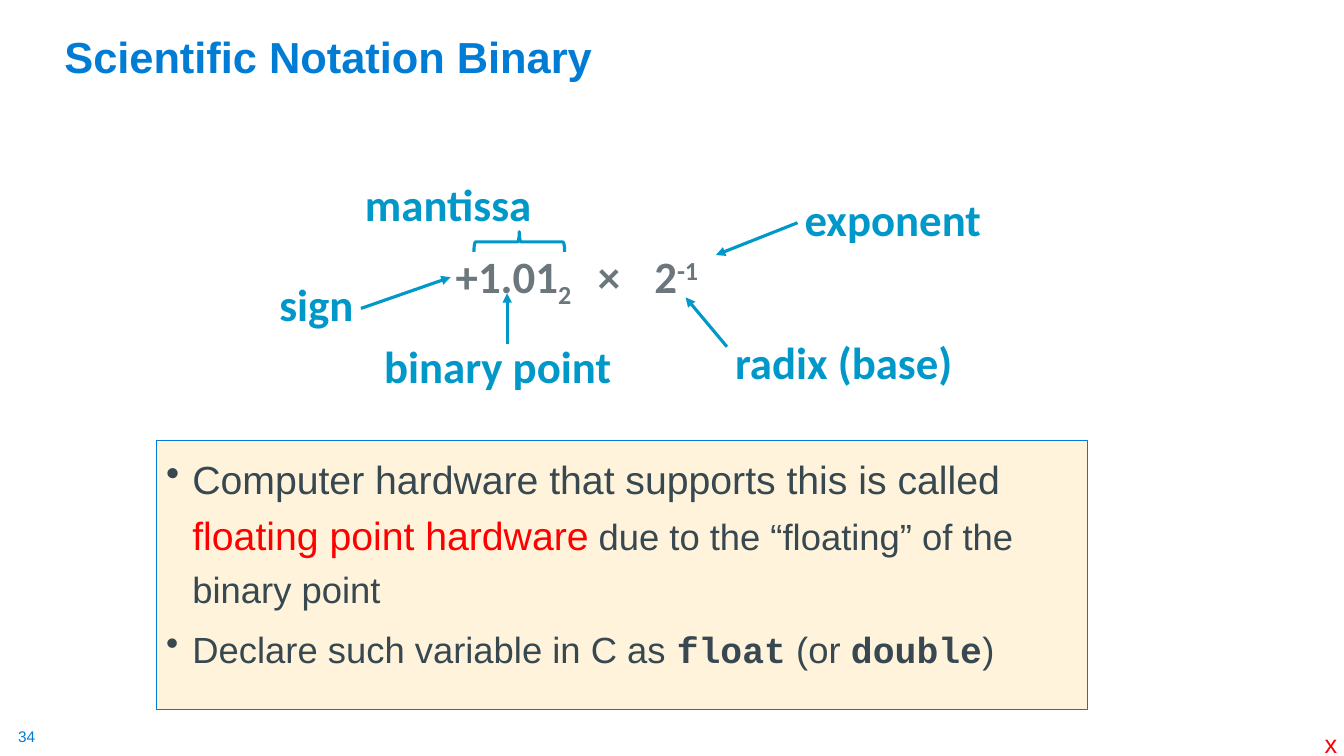
from lxml import etree
from pptx import Presentation
from pptx import util as u
from pptx.dml.color import RGBColor
from pptx.enum import shapes, text
from pptx.oxml import ns

BLUE = RGBColor(0x00, 0x7C, 0xD5)
CYAN = RGBColor(0x00, 0x98, 0xC9)
GRAY = RGBColor(0x6B, 0x76, 0x7D)
SLATE = RGBColor(0x38, 0x48, 0x51)
RED = RGBColor(0xFF, 0x00, 0x00)
CREAM = RGBColor(0xFF, 0xF4, 0xDB)


def style_font(font, size, color, name="Arial", bold=False):
    """Set the size, colour, face and weight of a font."""
    font.size, font.name, font.bold = u.Pt(size), name, bold
    font.color.rgb = color


def add_text(slide, box, words, size, color, name="Arial", bold=False, margins=(0.1, 0.05)):
    """Add a one-line text box and return it."""
    shape = slide.shapes.add_textbox(*map(u.Inches, box))
    frame = shape.text_frame
    frame.word_wrap = False
    frame.margin_left = frame.margin_right = u.Inches(margins[0])
    frame.margin_top = frame.margin_bottom = u.Inches(margins[1])
    paragraph = frame.paragraphs[0]
    paragraph.text = words
    style_font(paragraph.font, size, color, name, bold)
    return shape


def add_label(slide, box, words, color=CYAN):
    """Add a bold diagram label and return it."""
    shape = add_text(slide, box, words, 32, color, "Calibri", True, (0.07, 0.03))
    shape.text_frame.paragraphs[0].line_spacing = 0.85
    return shape


def add_arrow(slide, start, end):
    """Add an arrow pointing at its end and return it."""
    arrow = slide.shapes.add_connector(
        shapes.MSO_CONNECTOR.STRAIGHT, *map(u.Inches, (*start, *end)))
    arrow.line.color.rgb = CYAN
    arrow.line.width = u.Pt(2.25)
    etree.SubElement(arrow.line._get_or_add_ln(), ns.qn("a:tailEnd"), type="triangle")
    etree.SubElement(arrow._element.spPr, ns.qn("a:effectLst"))
    return arrow


def add_formula(slide, box):
    """Add the binary number with its subscript, radix and exponent."""
    shape = add_label(slide, box, "", GRAY)
    shape.text_frame.word_wrap = True
    paragraph = shape.text_frame.paragraphs[0]
    tabs = etree.SubElement(paragraph._p.get_or_add_pPr(), ns.qn("a:tabLst"))
    for position in (1.41, 1.97):
        etree.SubElement(tabs, ns.qn("a:tab"), pos=str(u.Inches(position)), algn="l")
    style_font(paragraph.font, 32, GRAY, "Calibri", True)
    for words, baseline in (("+1.01", 0), ("2", -25000), ("\t×\t2", 0), ("-1", 30000)):
        run = paragraph.add_run()
        run.text = words
        if baseline:
            run.font._element.set("baseline", str(baseline))


def add_diagram(slide, box):
    """Add the formula with its labelled parts."""
    left, top = box[:2]

    def place(x, y, *size):
        return left + x, top + y, *size

    add_formula(slide, place(1.75, 0.66, 2.63, 0.52))
    add_label(slide, place(0.85, 0, 1.81, 0.52), "mantissa")
    add_label(slide, place(4.52, 1.56, 2.32, 0.52), "radix (base)")
    add_label(slide, place(1.04, 1.6, 2.41, 0.52), "binary point")
    exponent = add_label(slide, place(5.21, 0.14, 1.91, 0.52), "exponent")
    sign = add_label(slide, place(0, 0.99, 0.88, 0.52), "sign")
    add_arrow(slide, place(4.51, 1.63), place(4.1, 1.14))
    add_arrow(slide, place(2.33, 1.6), place(2.33, 1.1))
    add_arrow(slide, place(5.21, 0.4), place(4.4, 0.72)).begin_connect(exponent, 1)
    add_arrow(slide, place(0.88, 1.25), place(1.77, 0.94)).begin_connect(sign, 3)

    brace = slide.shapes.add_shape(
        shapes.MSO_SHAPE.LEFT_BRACE, *map(u.Inches, place(2.35, 0.14, 0.2, 0.9)))
    brace.rotation = 90
    brace.shadow.inherit = False
    brace.fill.background()
    brace.line.color.rgb = CYAN
    brace.line.width = u.Pt(2.25)


def add_notes_panel(slide, box):
    """Add the framed bullets about floating point hardware."""
    panel = slide.shapes.add_shape(shapes.MSO_SHAPE.RECTANGLE, *map(u.Inches, box))
    panel.shadow.inherit = False
    panel.fill.solid()
    panel.fill.fore_color.rgb = CREAM
    panel.line.color.rgb = BLUE
    panel.line.width = u.Pt(0.75)
    frame = panel.text_frame
    frame.word_wrap = True
    frame.vertical_anchor = text.MSO_ANCHOR.TOP
    bullets = (
        (1.2, 0, (
            ("Computer hardware that supports this is called ", 28, SLATE, "Arial", False),
            ("floating point hardware", 28, RED, "Arial", False),
            (" due to the “floating” of the binary point", 26, SLATE, "Arial", False))),
        (0.7, 20, (
            ("Declare such variable in C as ", 26, SLATE, "Arial", False),
            ("float", 26, SLATE, "Courier New", True),
            (" (or ", 26, SLATE, "Arial", False),
            ("double", 26, SLATE, "Courier New", True),
            (")", 26, SLATE, "Arial", False))),
    )
    for index, (spacing, before, runs) in enumerate(bullets):
        paragraph = frame.add_paragraph() if index else frame.paragraphs[0]
        paragraph.alignment = text.PP_ALIGN.LEFT
        paragraph.line_spacing = spacing
        paragraph.space_before = u.Pt(before)
        properties = paragraph._p.get_or_add_pPr()
        properties.set("marL", str(u.Inches(0.26)))
        properties.set("indent", str(-u.Inches(0.26)))
        etree.SubElement(properties, ns.qn("a:buChar"), char="•")
        for words, *style in runs:
            run = paragraph.add_run()
            run.text = words
            style_font(run.font, *style)


def main():
    """Build and save the slide."""
    presentation = Presentation()
    presentation.slide_width = u.Inches(13.33)
    presentation.slide_height = u.Inches(7.5)
    slide = presentation.slides.add_slide(presentation.slide_layouts[6])
    title = add_text(slide, (0.54, 0.09, 11.5, 0.78), "Scientific Notation Binary",
                     31, BLUE, bold=True)
    title.text_frame.word_wrap = True
    title.text_frame.vertical_anchor = text.MSO_ANCHOR.BOTTOM
    title.text_frame.paragraphs[0].line_spacing = 0.9
    add_notes_panel(slide, (1.55, 4.37, 9.24, 2.67))
    add_diagram(slide, (2.7, 1.81, 7.12, 2.12))
    add_text(slide, (0.18, 7.21, 0.19, 0.19), "34", 11, BLUE, margins=(0, 0))
    add_text(slide, (13.04, 7.18, 0.33, 0.4), "x", 18, RED)
    presentation.save("out.pptx")


if __name__ == "__main__":
    main()
